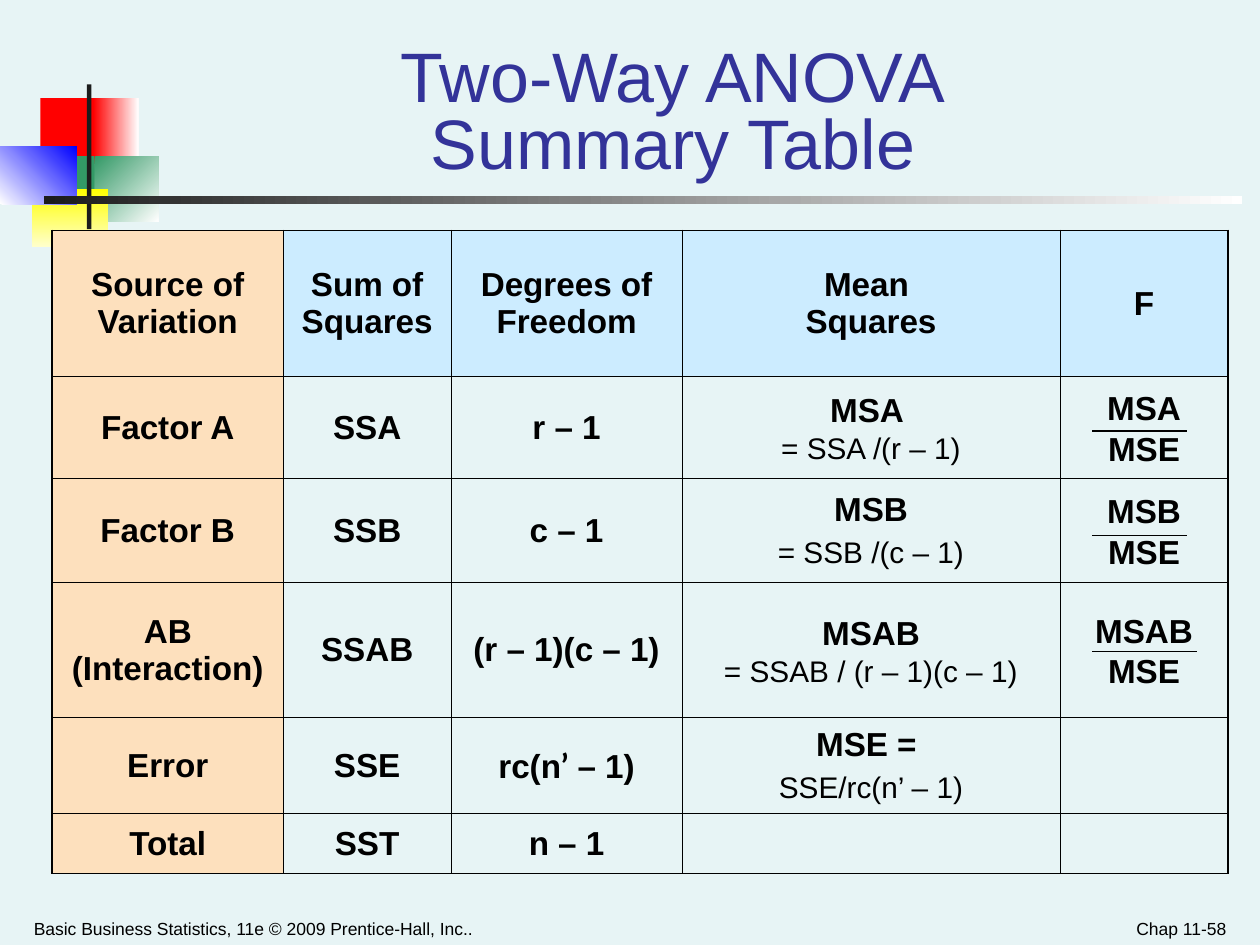
from dataclasses import dataclass
from typing import NamedTuple

from lxml.etree import SubElement
from pptx import Presentation
from pptx.dml.color import RGBColor
from pptx.enum.shapes import MSO_CONNECTOR, MSO_SHAPE
from pptx.enum.text import MSO_ANCHOR, PP_ALIGN
from pptx.oxml import parse_xml
from pptx.oxml.ns import nsdecls, qn
from pptx.util import Inches, Pt

WIDE, HIGH = Inches(10), Inches(7.5)


@dataclass(frozen=True)
class Theme:
    back: str = "E7F4F5"
    ink: str = "000000"
    dark: str = "1C1C1C"
    title: str = "333399"
    side: str = "FDE0BD"
    head: str = "CCECFF"
    white: str = "FFFFFF"
    red: str = "FF0000"
    green: str = "339966"
    blue: str = "0000FF"
    yellow: str = "FFFF00"
    pale: str = "FFFFCC"
    face: str = "Arial"
    prime: str = "Lato"
    title_size: float = 40
    cell_size: float = 19
    small_size: float = 17
    foot_size: float = 10
    thin: float = 0.45
    thick: float = 1.08
    rule: float = 0.75


T = Theme()


class Box(NamedTuple):
    """Left, top, width and height in percent of the slide."""
    x: float
    y: float
    w: float
    h: float

    def place(self) -> tuple:
        return across(self.x), down(self.y), across(self.w), down(self.h)


class Block(NamedTuple):
    box: Box
    color: str
    fade: str = ""
    angle: float = 0


class Run(NamedTuple):
    text: str
    small: bool = False
    face: str = ""


class Para(NamedTuple):
    lines: tuple
    lead: float = 1.0
    gap: float = 0


def across(share: float) -> int:
    return round(WIDE * share / 100)


def down(share: float) -> int:
    return round(HIGH * share / 100)


def rgb(code: str) -> RGBColor:
    return RGBColor.from_string(code)


def style(font, size: float, color: str, bold: bool = False) -> None:
    font.name, font.size, font.bold = T.face, Pt(size), bold
    font.color.rgb = rgb(color)


def block(slide, item: Block) -> None:
    shape = slide.shapes.add_shape(MSO_SHAPE.RECTANGLE, *item.box.place())
    shape.shadow.inherit = False
    shape.line.fill.background()
    if not item.fade:
        shape.fill.solid()
        shape.fill.fore_color.rgb = rgb(item.color)
        return
    shape.fill.gradient()
    shape.fill.gradient_angle = item.angle
    for stop, color in zip(shape.fill.gradient_stops, (item.color, item.fade)):
        stop.color.rgb = rgb(color)


def label(slide, box: Box, text: str, size: float, color: str,
          align=PP_ALIGN.LEFT, lead: float = 1.0) -> None:
    frame = slide.shapes.add_textbox(*box.place()).text_frame
    frame.word_wrap = True
    frame.vertical_anchor = MSO_ANCHOR.BOTTOM
    para = frame.paragraphs[0]
    para.text = text
    para.alignment, para.line_spacing = align, lead
    style(para.font, size, color)


def write(cell, paras: tuple) -> None:
    cell.vertical_anchor = MSO_ANCHOR.MIDDLE
    frame = cell.text_frame
    for i, item in enumerate(paras):
        para = frame.add_paragraph() if i else frame.paragraphs[0]
        para.alignment, para.line_spacing = PP_ALIGN.CENTER, item.lead
        para.space_before = Pt(item.gap)
        style(para.font, T.cell_size, T.ink, True)
        for j, line in enumerate(item.lines):
            if j:
                para.add_line_break()
            for part in line:
                run = para.add_run()
                run.text = part.text
                if part.small:
                    run.font.size, run.font.bold = Pt(T.small_size), False
                if part.face:
                    run.font.name = part.face


def edge(cell, sides: dict) -> None:
    """Draw the cell's borders; sides maps L, R, T, B to points."""
    props = cell._tc.get_or_add_tcPr()
    for i, (side, width) in enumerate(sides.items()):
        props.insert(i, parse_xml(
            f'<a:ln{side} {nsdecls("a")} w="{Pt(width)}"><a:solidFill>'
            f'<a:srgbClr val="{T.ink}"/></a:solidFill></a:ln{side}>'))


def rule(slide, left: float, right: float, y: float) -> None:
    line = slide.shapes.add_connector(MSO_CONNECTOR.STRAIGHT, across(left),
                                      down(y), across(right), down(y))
    line.line.color.rgb, line.line.width = rgb(T.ink), Pt(T.rule)
    SubElement(line._element.spPr, qn("a:effectLst"))


def plain(text: str) -> tuple:
    """One bold paragraph, with a line break at each newline."""
    return (Para(tuple((Run(s),) for s in text.split("\n"))),)


def ratio(top: str) -> tuple:
    return (plain(f"{top}\nMSE")[0]._replace(lead=1.1),)


def mean(name: str, form: str) -> tuple:
    return (Para(((Run(name),), (Run(form, True),)), 1.1),)


def pair(name: str, form: str) -> tuple:
    return plain(name) + (Para(((Run(form, True),),), gap=4.2),)


BLOCKS = (
    Block(Box(3.2, 10.4, 4.8, 6.93), T.red),
    Block(Box(7.4, 10.4, 3.6, 6.93), T.red, T.white),
    Block(Box(7.5, 16.53, 5.1, 6.93), T.green, T.white, 315),
    Block(Box(4.3, 16.53, 3.2, 6.93), T.green),
    Block(Box(2.5, 20, 6.1, 6.13), T.yellow, T.pale, 270),
    Block(Box(0, 15.47, 6.1, 6.13), T.white, T.blue, 45),
    Block(Box(6.9, 8.93, 0.35, 15.33), T.dark),
    Block(Box(3.5, 20.8, 95.1, 0.8), T.dark, T.white),
)
COLS = (18.33, 13.33, 18.33, 30, 13.33)
ROWS = (15.45, 10.8, 11, 14.3, 10.15, 6.35)
PRIME = (Para(((Run("rc(n"), Run("’", face=T.prime), Run(" – 1)")),)),)
CELLS = (
    ("Source of\nVariation", "Sum of\nSquares", "Degrees of Freedom",
     "Mean \nSquares", "F"),
    ("Factor A", "SSA", "r – 1", mean("MSA ", "= SSA /(r – 1)"), ratio("MSA")),
    ("Factor B", "SSB", "c – 1", pair("MSB", "= SSB /(c – 1)"), ratio("MSB")),
    ("AB\n(Interaction)", "SSAB", "(r – 1)(c – 1)",
     mean("MSAB", "= SSAB / (r – 1)(c – 1)"), ratio("MSAB")),
    ("Error", "SSE", PRIME, pair("MSE = ", "SSE/rc(n’ – 1)"), ()),
    ("Total", "SST", "n – 1", (), ()),
)
RULES = ((86.7, 94.2, 45.6), (86.7, 94.2, 56.67), (86.7, 95, 68.93))


def grid(slide) -> None:
    box = Box(4.15, 24.4, sum(COLS), sum(ROWS))
    table = slide.shapes.add_table(len(ROWS), len(COLS), *box.place()).table
    table.first_row = table.horz_banding = False
    for col, share in zip(table.columns, COLS):
        col.width = across(share)
    for row, share in zip(table.rows, ROWS):
        row.height = down(share)
    for r, texts in enumerate(CELLS):
        for c, text in enumerate(texts):
            cell = table.cell(r, c)
            write(cell, plain(text) if isinstance(text, str) else text)
            if r and c:
                cell.fill.background()
            else:
                cell.fill.solid()
                cell.fill.fore_color.rgb = rgb(T.head if c else T.side)
            outer = {"L": c == 0, "R": c == len(COLS) - 1,
                     "T": r == 0, "B": r == len(ROWS) - 1}
            edge(cell, {s: T.thick if o else T.thin for s, o in outer.items()})


def main() -> None:
    deck = Presentation()
    deck.slide_width, deck.slide_height = WIDE, HIGH
    slide = deck.slides.add_slide(deck.slide_layouts[6])
    slide.background.fill.solid()
    slide.background.fill.fore_color.rgb = rgb(T.back)
    for item in BLOCKS:
        block(slide, item)
    label(slide, Box(1.7, 95.33, 50.8, 4.67),
          "Basic Business Statistics, 11e © 2009 Prentice-Hall, Inc..",
          T.foot_size, T.ink)
    label(slide, Box(75, 95.33, 23.3, 4.67), "Chap 11-58",
          T.foot_size, T.ink, PP_ALIGN.RIGHT)
    label(slide, Box(10.8, 4.4, 85.2, 15.6), "Two-Way ANOVA\nSummary Table",
          T.title_size, T.title, PP_ALIGN.CENTER, 0.8)
    grid(slide)
    for span in RULES:
        rule(slide, *span)
    deck.save("out.pptx")


if __name__ == "__main__":
    main()
